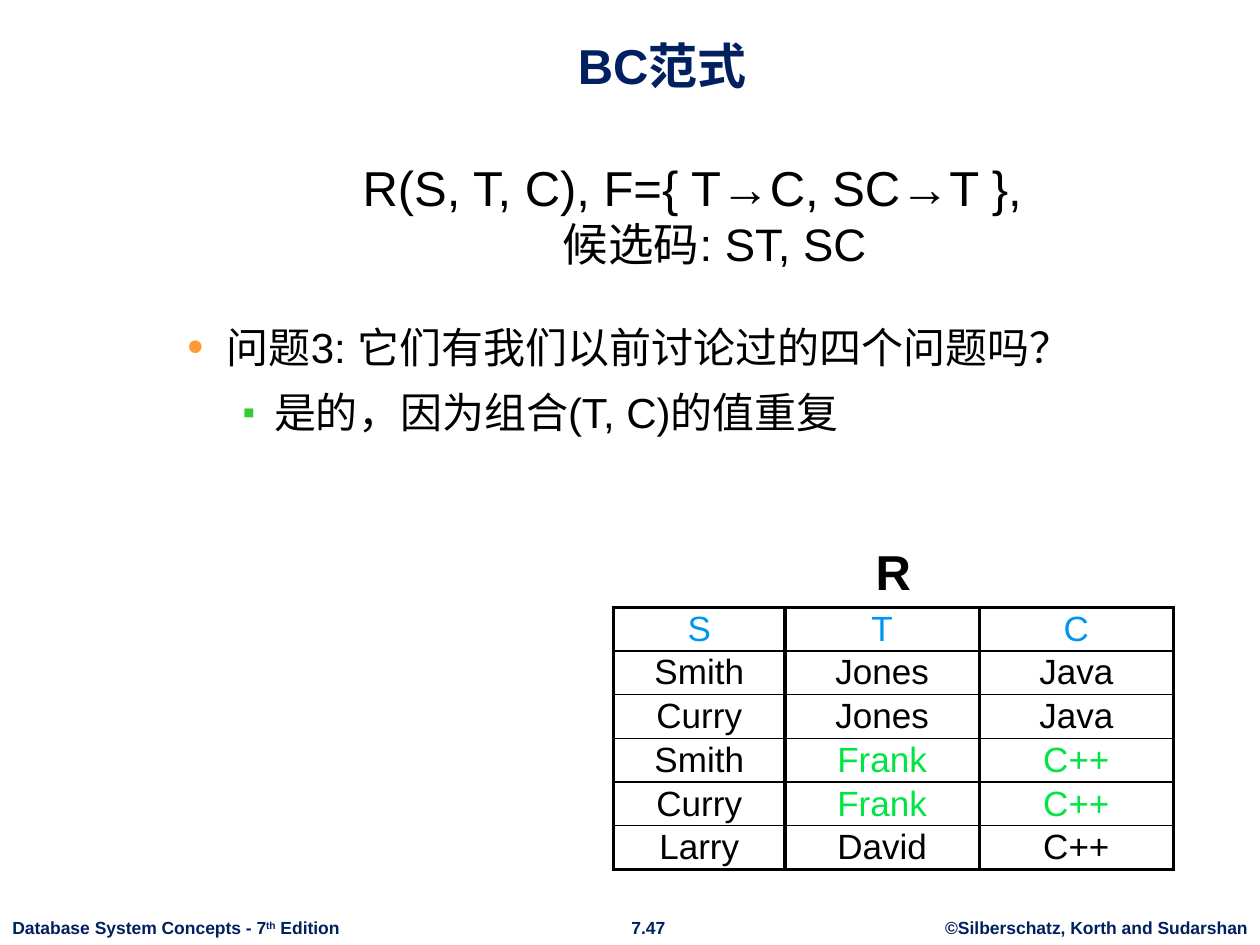
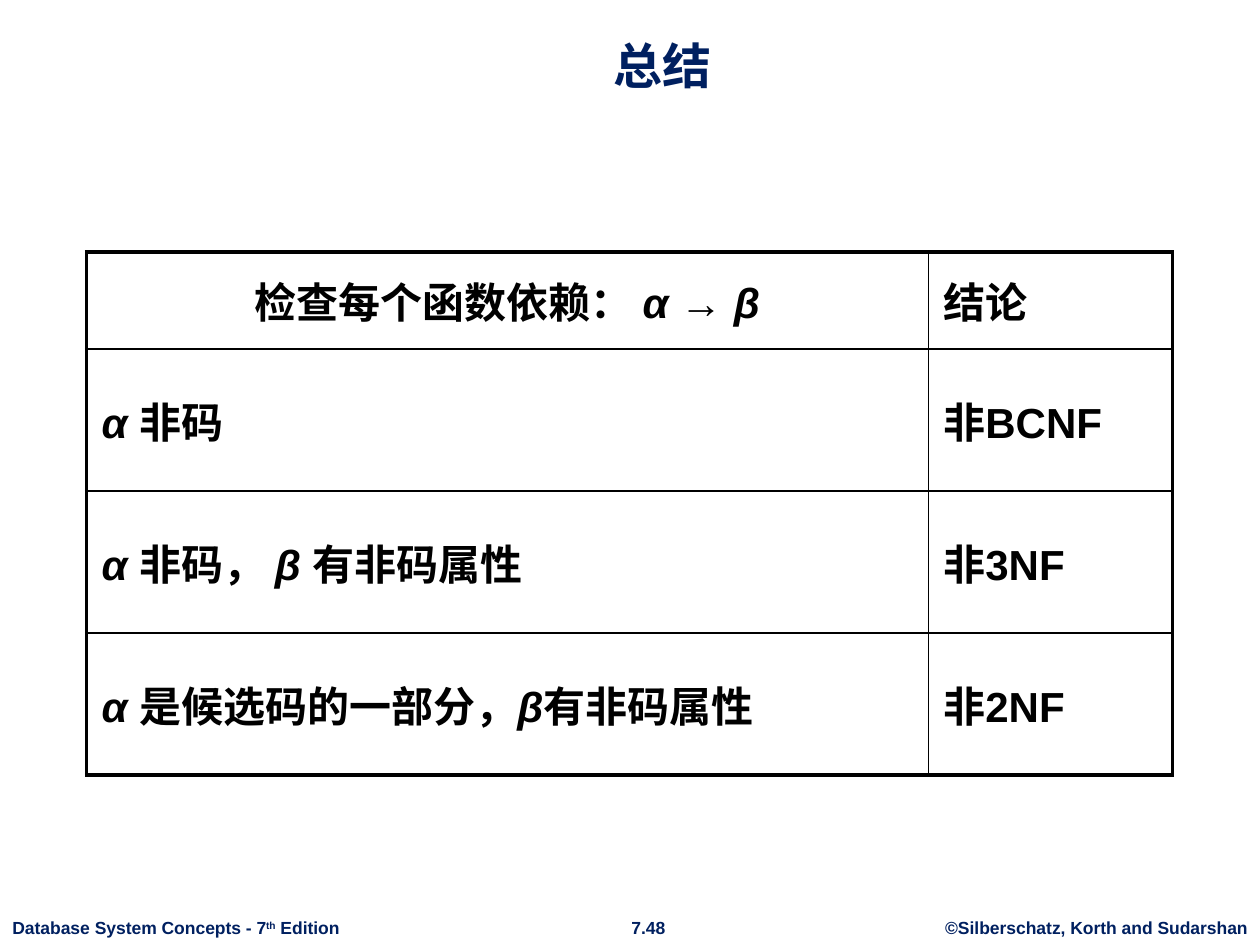
from dataclasses import dataclass

from lxml import etree
from pptx import Presentation
from pptx.dml.color import RGBColor
from pptx.enum.text import MSO_ANCHOR, PP_ALIGN
from pptx.oxml.ns import qn
from pptx.util import Pt

LEFT, MID = PP_ALIGN.LEFT, PP_ALIGN.CENTER
TOP, BASE, CORE = MSO_ANCHOR.TOP, MSO_ANCHOR.BOTTOM, MSO_ANCHOR.MIDDLE


@dataclass(frozen=True)
class Theme:
    face: str = "Arial"
    navy: str = "002060"
    ink: str = "000000"
    paper: str = "FFFFFF"
    blue: str = "0095F0"
    green: str = "00E444"
    dot: str = "FF9933"
    square: str = "33CC33"
    head: float = 28
    sub: float = 26
    body: float = 24
    cell: float = 20
    foot: float = 10
    thick: float = 2.25
    thin: float = 1


T = Theme()


@dataclass(frozen=True)
class Box:
    x: float
    y: float
    w: float
    h: float


@dataclass(frozen=True)
class Run:
    text: str
    slant: bool = False
    size: float = 0
    lift: int = 0
    fresh: bool = False  # starts on a new line


@dataclass(frozen=True)
class Mark:
    char: str
    color: str
    scale: int


@dataclass(frozen=True)
class Para:
    runs: tuple[Run, ...]
    size: float
    color: str = T.ink
    bold: bool = False
    align: PP_ALIGN = LEFT
    before: float = 0
    level: int = 0
    left: float = 0
    hang: float = 0
    mark: Mark | None = None


@dataclass(frozen=True)
class Grid:
    x: float
    y: float
    cols: tuple[float, ...]
    rows: tuple[float, ...]
    inner: float  # width of the inner upright rules
    pad: tuple[float, float]


def rgb(color: str) -> RGBColor:
    return RGBColor.from_string(color)


def add_mark(props, mark: Mark) -> None:
    tint = etree.SubElement(props, qn("a:buClr"))
    etree.SubElement(tint, qn("a:srgbClr"), val=mark.color)
    etree.SubElement(props, qn("a:buSzPct"), val=str(mark.scale * 1000))
    etree.SubElement(props, qn("a:buFont"), typeface=T.face)
    etree.SubElement(props, qn("a:buChar"), char=mark.char)


def fill_para(p, para: Para) -> None:
    props = p._p.get_or_add_pPr()
    if para.left:
        props.set("marL", str(Pt(para.left)))
        props.set("indent", str(Pt(para.hang)))
    if para.mark:
        add_mark(props, para.mark)
    p.alignment, p.level = para.align, para.level
    if para.before:
        p.space_before = Pt(para.before)
    font = p.font
    font.name, font.size, font.bold = T.face, Pt(para.size), para.bold
    font.color.rgb = rgb(para.color)
    for part in para.runs:
        if part.fresh:
            p.add_line_break()
        run = p.add_run()
        run.text = part.text
        if part.slant:
            run.font.italic = True
        if part.size:
            run.font.size = Pt(part.size)
        if part.lift:
            run.font._element.set("baseline", str(part.lift * 1000))


def add_text(slide, box: Box, *paras: Para, anchor=TOP, wrap: bool = True) -> None:
    shape = slide.shapes.add_textbox(Pt(box.x), Pt(box.y), Pt(box.w), Pt(box.h))
    frame = shape.text_frame
    frame.word_wrap, frame.vertical_anchor = wrap, anchor
    for i, para in enumerate(paras):
        fill_para(frame.add_paragraph() if i else frame.paragraphs[0], para)


def add_rules(cell, widths: dict[str, float]) -> None:
    """Put cell borders ahead of the fill, in schema order."""
    props = cell._tc.get_or_add_tcPr()
    for i, (side, width) in enumerate(widths.items()):
        line = etree.Element(qn(f"a:ln{side}"), w=str(Pt(width)))
        fill = etree.SubElement(line, qn("a:solidFill"))
        etree.SubElement(fill, qn("a:srgbClr"), val=T.ink)
        props.insert(i, line)


def add_grid(slide, grid: Grid, cells: list[list[Para]]) -> None:
    wide, deep = len(grid.cols), len(grid.rows)
    table = slide.shapes.add_table(
        deep, wide, Pt(grid.x), Pt(grid.y), Pt(sum(grid.cols)), Pt(sum(grid.rows))
    ).table
    table.first_row = table.horz_banding = False
    for col, width in zip(table.columns, grid.cols):
        col.width = Pt(width)
    for row, height in zip(table.rows, grid.rows):
        row.height = Pt(height)
    for r, line in enumerate(cells):
        for c, para in enumerate(line):
            cell = table.cell(r, c)
            cell.vertical_anchor = CORE
            cell.margin_left = cell.margin_right = Pt(grid.pad[0])
            cell.margin_top = cell.margin_bottom = Pt(grid.pad[1])
            cell.fill.solid()
            cell.fill.fore_color.rgb = rgb(T.paper)
            add_rules(cell, {
                "L": grid.inner if c else T.thick,
                "R": grid.inner if c < wide - 1 else T.thick,
                "T": T.thin if r else T.thick,
                "B": T.thin if r < deep - 1 else T.thick,
            })
            fill_para(cell.text_frame.paragraphs[0], para)


def new_slide(deck, title: str, page: str):
    """Start a slide with the shared title and footers."""
    slide = deck.slides.add_slide(deck.slide_layouts[6])
    feet = (
        (533, 187, MID, (Run("©Silberschatz, Korth and Sudarshan"),)),
        (353, 35, MID, (Run(page),)),
        (0, 202, LEFT, (Run("Database System Concepts - 7"),
                        Run("th", lift=30), Run(" Edition"))),
    )
    for x, width, align, runs in feet:
        para = Para(runs, T.foot, T.navy, True, align)
        add_text(slide, Box(x, 520.5, width, 19.5), para, wrap=False)
    para = Para((Run(title),), T.head, T.navy, True, MID)
    add_text(slide, Box(60.5, 9.4, 635.8, 48.2), para, anchor=BASE)
    return slide


def form_slide(deck) -> None:
    slide = new_slide(deck, "BC范式", "7.47")
    add_text(
        slide, Box(64, 86.4, 603.4, 386),
        Para((Run("R(S, T, C), F={ T→C, SC→T }, "),
              Run("候选码: ST, SC", size=T.sub, fresh=True)),
             T.head, align=MID, level=2, left=85.5, hang=-18),
        Para((Run("问题3: 它们有我们以前讨论过的四个问题吗？"),), T.body,
             before=29, level=1, left=58.5, hang=-22.5, mark=Mark("•", T.dot, 110)),
        Para((Run("是的，因为组合(T, C)的值重复"),), T.body,
             before=8.4, level=2, left=85.5, hang=-18, mark=Mark("▪", T.square, 85)),
    )
    names = ("S T C", "Smith Jones Java", "Curry Jones Java",
             "Smith Frank C++", "Curry Frank C++", "Larry David C++")

    def tone(row: int, col: int) -> str:
        if row == 0:
            return T.blue
        return T.green if row in (3, 4) and col else T.ink

    cells = [[Para((Run(word),), T.cell, tone(r, c), align=MID)
              for c, word in enumerate(line.split())]
             for r, line in enumerate(names)]
    add_grid(slide, Grid(350.6, 347, (98, 111, 111), (25,) * 6, T.thick, (0, 0)), cells)
    add_text(slide, Box(493.2, 306, 35.3, 41),
             Para((Run("R"),), T.head, bold=True), wrap=False)


def sum_slide(deck) -> None:
    slide = new_slide(deck, "总结", "7.48")
    alpha = Run("α ", slant=True)
    rows = (
        ((Run("检查每个函数依赖： "), Run("α → β", slant=True)), "结论"),
        ((alpha, Run("非码")), "非BCNF"),
        ((alpha, Run("非码， "), Run("β ", slant=True), Run("有非码属性")), "非3NF"),
        ((alpha, Run("是候选码的一部分，"), Run("β", slant=True),
          Run("有非码属性")), "非2NF"),
    )
    cells = [[Para(test, T.body, bold=True, align=LEFT if r else MID),
              Para((Run(form),), T.body, bold=True)]
             for r, (test, form) in enumerate(rows)]
    add_grid(slide, Grid(49.5, 144, (481, 139.7), (55.4, 81.2, 81.2, 81.2),
                         T.thin, (8.6, 3.6)), cells)


def main() -> None:
    deck = Presentation()
    deck.slide_width, deck.slide_height = Pt(720), Pt(540)
    form_slide(deck)
    sum_slide(deck)
    deck.save("out.pptx")


if __name__ == "__main__":
    main()
